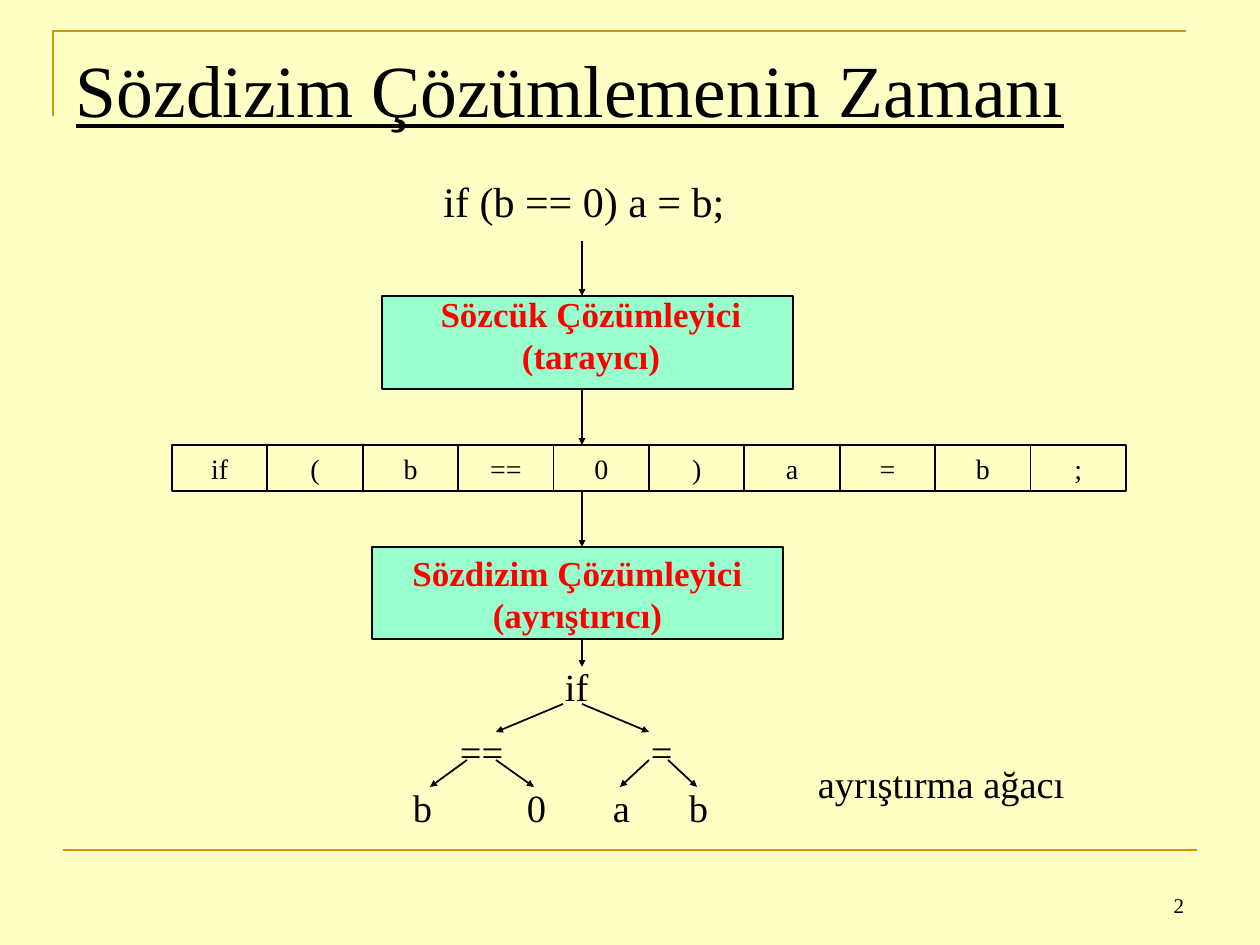
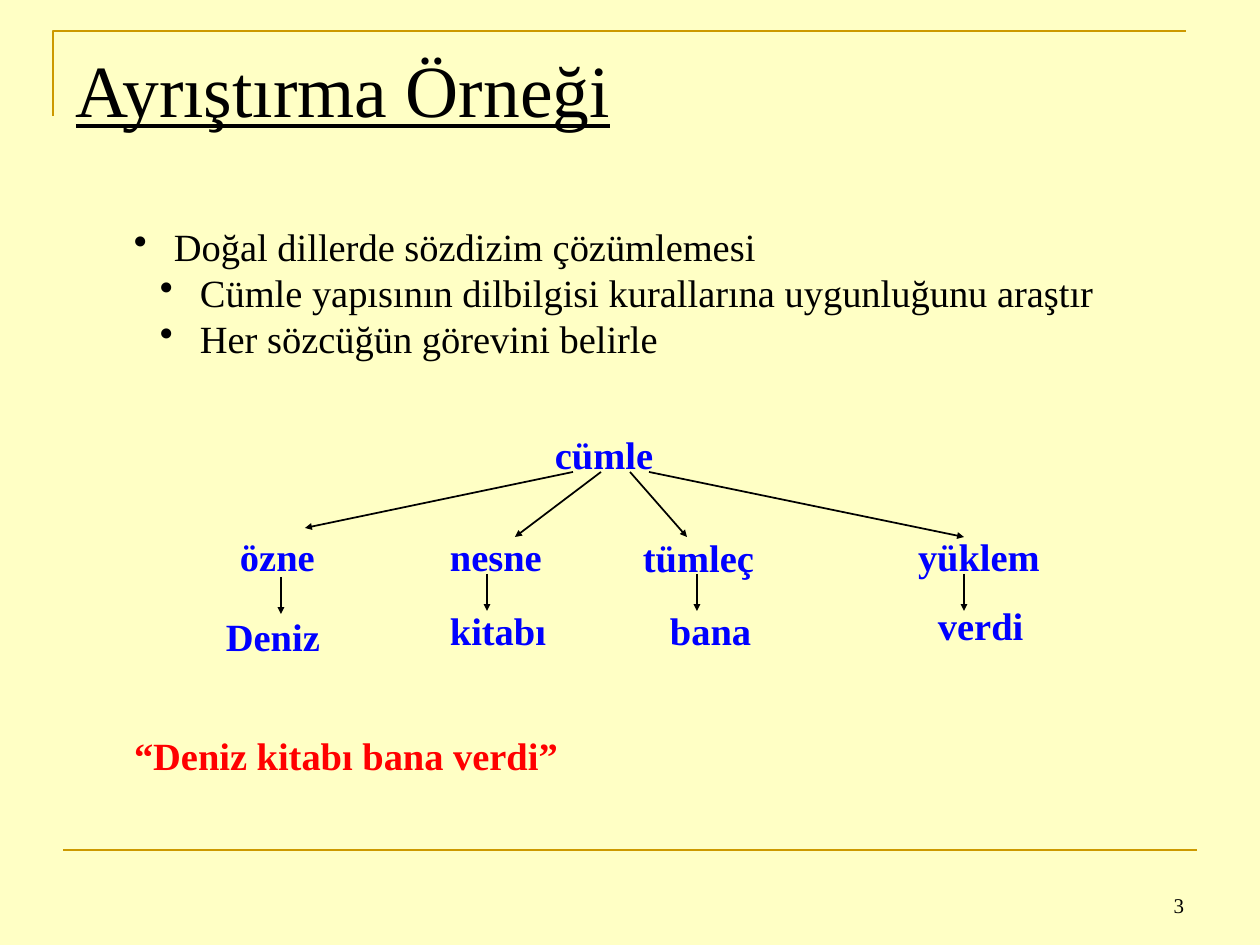
from lxml import etree
from pptx import Presentation
from pptx.dml.color import RGBColor
from pptx.enum.shapes import MSO_CONNECTOR, MSO_SHAPE
from pptx.enum.text import MSO_ANCHOR, PP_ALIGN
from pptx.oxml.ns import qn
from pptx.util import Pt

LEFT, CENTER, RIGHT = PP_ALIGN.LEFT, PP_ALIGN.CENTER, PP_ALIGN.RIGHT
TOP, MIDDLE, BOTTOM = MSO_ANCHOR.TOP, MSO_ANCHOR.MIDDLE, MSO_ANCHOR.BOTTOM
RECTANGLE, STRAIGHT = MSO_SHAPE.RECTANGLE, MSO_CONNECTOR.STRAIGHT

EMU_PER_PX = 914400 / 126
FONT = "Times New Roman"
BLACK, RED, BLUE = "000000", "FF0000", "0000FF"
CREAM, GOLD, MINT = "FFFFC5", "CC9900", "99FFCC"
NARROW, WIDE = (11, 5), (13, 6)  # side and top insets

# Slide 2: from source line to parse tree
STATEMENT = "if (b == 0) a = b;"
TOKENS = ["if", "(", "b", "==", "0", ")", "a", "=", "b", ";"]
SCANNER = ["Sözcük Çözümleyici", "(tarayıcı)"]
PARSER = ["Sözdizim Çözümleyici", "(ayrıştırıcı)"]
FLOW_X = 582
FLOW_STEPS = [(241, 296), (389, 445), (491, 547), (639, 667)]  # top, bottom
PARSE_NODES = [  # text, left, top, width
    ("if", 554, 658, 60),
    ("==", 449, 723, 80), ("=", 640, 723, 60),
    ("b", 402, 779, 60), ("0", 516, 779, 60),
    ("a", 602, 779, 60), ("b", 678, 779, 60),
    ("ayrıştırma ağacı", 807, 755, 290),
]
PARSE_ARROWS = [  # from x, from y, to x, to y
    (563, 704, 496, 732), (582, 704, 649, 732),
    (467, 760, 430, 787), (496, 760, 534, 787),
    (649, 760, 620, 787), (668, 760, 697, 787),
]

# Slide 3: a sentence and the role of each word
BULLETS = [  # text, left edge of the text
    ("Doğal dillerde sözdizim çözümlemesi", 40),
    ("Cümle yapısının dilbilgisi kurallarına uygunluğunu araştır", 66),
    ("Her sözcüğün görevini belirle", 66),
]
HANGING = 40
SENTENCE_NODES = [
    ("cümle", 544, 426, 150),
    ("özne", 229, 528, 130), ("nesne", 439, 528, 140),
    ("tümleç", 632, 529, 160), ("yüklem", 907, 528, 170),
    ("Deniz", 215, 608, 140), ("kitabı", 439, 602, 150),
    ("bana", 659, 602, 140), ("verdi", 927, 597, 140),
]
SENTENCE_ARROWS = [
    (573, 472, 305, 528), (601, 472, 515, 537),
    (630, 472, 687, 537), (649, 472, 964, 537),
    (281, 577, 281, 614), (487, 574, 487, 611),
    (697, 574, 697, 611), (964, 574, 964, 611),
]
QUOTE = "“Deniz kitabı bana verdi”"


def px(length):
    return round(length * EMU_PER_PX)


def rgb(value):
    return RGBColor.from_string(value)


def write(shape, lines, size, color=BLACK, bold=False, underline=False,
          align=LEFT, anchor=TOP, inset=NARROW):
    frame = shape.text_frame
    frame.word_wrap = True
    frame.vertical_anchor = anchor
    frame.margin_left = frame.margin_right = px(inset[0])
    frame.margin_top = frame.margin_bottom = px(inset[1])
    frame.text = "\n".join(lines)
    for para in frame.paragraphs:
        para.alignment = align
        font = para.font
        font.name, font.size = FONT, Pt(size)
        font.bold, font.underline = bold, underline
        font.color.rgb = rgb(color)


def label(page, lines, left, top, width, height=58, size=22, **style):
    box = page.shapes.add_textbox(px(left), px(top), px(width), px(height))
    write(box, lines, size, **style)
    return box


def rectangle(page, left, top, width, height, fill=None):
    box = page.shapes.add_shape(RECTANGLE, px(left), px(top), px(width), px(height))
    box.shadow.inherit = False
    if fill:
        box.fill.solid()
        box.fill.fore_color.rgb = rgb(fill)
    else:
        box.fill.background()
    box.line.color.rgb = rgb(BLACK)
    box.line.width = Pt(1)
    return box


def line(page, x1, y1, x2, y2, color=BLACK, width=1, arrow=True):
    link = page.shapes.add_connector(STRAIGHT, px(x1), px(y1), px(x2), px(y2))
    link.line.color.rgb = rgb(color)
    link.line.width = Pt(width)
    if arrow:
        outline = link._element.spPr.find(qn("a:ln"))
        etree.SubElement(outline, qn("a:tailEnd"), type="triangle", w="sm", len="sm")
    etree.SubElement(link._element.spPr, qn("a:effectLst"))


def draw_tree(page, nodes, arrows, **style):
    for text, left, top, width in nodes:
        label(page, [text], left, top, width, **style)
    for ends in arrows:
        line(page, *ends)


def add_page(deck, title, number):
    page = deck.slides.add_slide(deck.slide_layouts[6])
    # Gold frame
    builder = page.shapes.build_freeform(px(53), px(116), scale=1.0)
    builder.add_line_segments([(px(53), px(31)), (px(1186), px(31))], close=False)
    corner = builder.convert_to_shape()
    corner.shadow.inherit = False
    corner.fill.background()
    corner.line.color.rgb = rgb(GOLD)
    corner.line.width = Pt(1.5)
    line(page, 63, 850, 1197, 850, GOLD, 1.5, arrow=False)
    # Title and page number
    label(page, [title], 63, 38, 1134, 158, 42, underline=True, inset=WIDE)
    label(page, [str(number)], 903, 861, 294, 63, 12, align=RIGHT,
          anchor=BOTTOM, inset=WIDE)
    return page


def build_parser_page(deck):
    page = add_page(deck, "Sözdizim Çözümlemenin Zamanı", 2)
    label(page, [STATEMENT], 387, 171, 394, 62, 24, align=CENTER)
    # Two analysers
    stage = dict(size=20, color=RED, bold=True, align=CENTER)
    rectangle(page, 382, 296, 411, 93, MINT)
    label(page, SCANNER, 418, 286, 346, 97, inset=WIDE, **stage)
    parser = rectangle(page, 372, 547, 411, 92, MINT)
    write(parser, PARSER, anchor=MIDDLE, **stage)
    # Token row
    for index, token in enumerate(TOKENS):
        cell = rectangle(page, 172 + index * 95.4, 445, 95.4, 46)
        write(cell, [token], 16, align=CENTER, anchor=MIDDLE)
    # Flow arrows and parse tree
    for top, bottom in FLOW_STEPS:
        line(page, FLOW_X, top, FLOW_X, bottom)
    draw_tree(page, PARSE_NODES, PARSE_ARROWS)


def build_example_page(deck):
    page = add_page(deck, "Ayrıştırma Örneği", 3)
    box = label(page, [text for text, _ in BULLETS], 123, 218, 1010, 150)
    for para, (_, indent) in zip(box.text_frame.paragraphs, BULLETS):
        props = para._p.get_or_add_pPr()
        props.set("marL", str(px(indent)))
        props.set("indent", str(-px(HANGING)))
        mark = etree.Element(qn("a:buChar"), char="•")
        props.find(qn("a:defRPr")).addprevious(mark)
    draw_tree(page, SENTENCE_NODES, SENTENCE_ARROWS, color=BLUE, bold=True)
    label(page, [QUOTE], 123, 727, 470, color=RED, bold=True)


def main():
    deck = Presentation()
    deck.slide_width, deck.slide_height = px(1260), px(945)
    background = deck.slide_master.background.fill
    background.solid()
    background.fore_color.rgb = rgb(CREAM)
    build_parser_page(deck)
    build_example_page(deck)
    deck.save("out.pptx")


if __name__ == "__main__":
    main()
